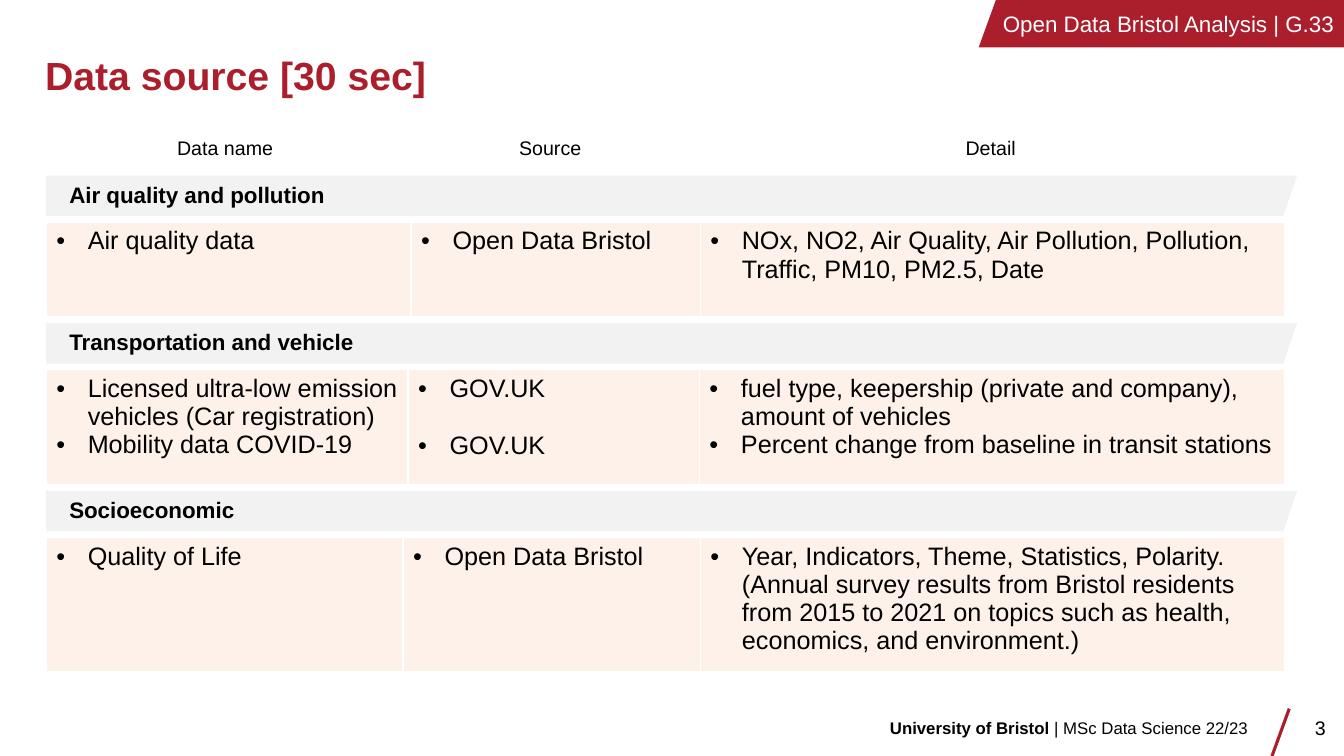
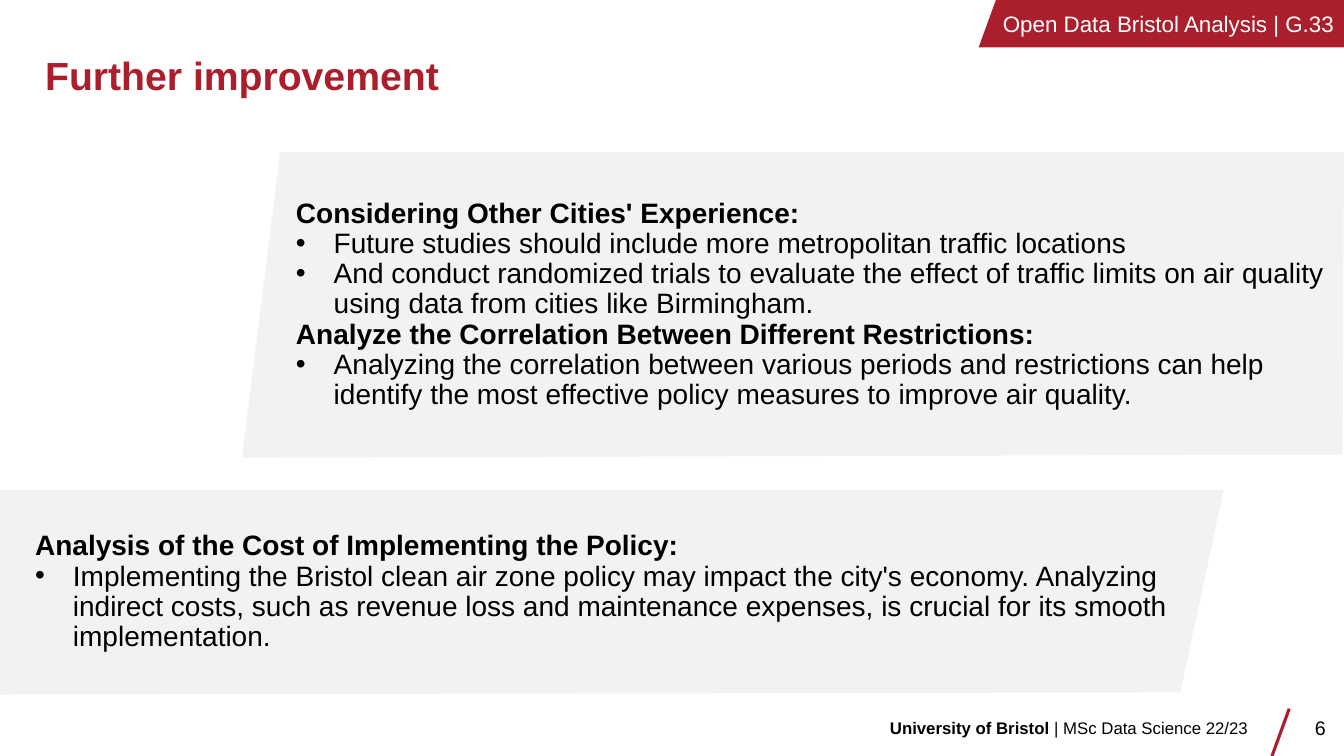
"""Build the data source and further improvement slides of a Bristol data analysis."""
from lxml import etree
from pptx import Presentation
from pptx.dml.color import RGBColor
from pptx.enum.shapes import MSO_CONNECTOR
from pptx.enum.text import MSO_ANCHOR, PP_ALIGN
from pptx.oxml.ns import qn
from pptx.util import Pt

LEFT, CENTER, RIGHT = PP_ALIGN.LEFT, PP_ALIGN.CENTER, PP_ALIGN.RIGHT
TOP, MIDDLE = MSO_ANCHOR.TOP, MSO_ANCHOR.MIDDLE
STRAIGHT = MSO_CONNECTOR.STRAIGHT

FONT = "Arial"
RED = "AB1F2C"
BLACK = "000000"
WHITE = "FFFFFF"
GREY = "F2F2F2"
PEACH = "FDF1E9"
color = RGBColor.from_string

WIDTH, HEIGHT = 960, 540
TABLE_LEFT = 33
BAND_HEIGHT = 28.8
TABLE_OFFSET = 33
SECTION_GAP = 4
LINE_HEIGHT = 20.5
BORDERS = {"a:lnL": 1, "a:lnR": 1, "a:lnT": 1, "a:lnB": 3}


def write(frame, lines, size, text_color=BLACK, alignment=LEFT, spacing=None,
          margin=0, hanging=0, gap=0):
    """Fill a frame with lines of (text, bold) runs; with a hanging indent, plain lines get bullets."""
    for index, runs in enumerate(lines):
        paragraph = frame.add_paragraph() if index else frame.paragraphs[0]
        paragraph.alignment = alignment
        bulleted = hanging and not runs[0][1]
        properties = paragraph._p.get_or_add_pPr()
        properties.set("marL", str(Pt(margin + hanging if bulleted else margin)))
        properties.set("indent", str(Pt(-hanging if bulleted else 0)))
        if bulleted:
            etree.SubElement(properties, qn("a:buFont"), typeface=FONT)
            etree.SubElement(properties, qn("a:buChar"), char="•")
        if spacing:
            paragraph.line_spacing = spacing
        if index and gap:
            paragraph.space_before = Pt(gap)
        for text, bold in runs:
            run = paragraph.add_run()
            run.text = text
            run.font.name = FONT
            run.font.size = Pt(size)
            run.font.bold = bold
            run.font.color.rgb = color(text_color)


def add_panel(slide, corners, fill):
    """Add a filled outline through the corners and return its text frame."""
    points = [(Pt(x), Pt(y)) for x, y in corners]
    builder = slide.shapes.build_freeform(*points[0])
    builder.add_line_segments(points[1:], close=True)
    shape = builder.convert_to_shape()
    shape.shadow.inherit = False
    shape.fill.solid()
    shape.fill.fore_color.rgb = color(fill)
    shape.line.fill.background()
    shape.text_frame.word_wrap = True
    shape.text_frame.vertical_anchor = MIDDLE
    return shape.text_frame


presentation = Presentation()
presentation.slide_width = Pt(WIDTH)
presentation.slide_height = Pt(HEIGHT)

slides = []
for title, number in [("Data source [30 sec]", "3"), ("Further improvement", "6")]:
    slide = presentation.slides.add_slide(presentation.slide_layouts[6])
    slides.append(slide)
    corner = add_panel(slide, [(711.4, 0), (WIDTH, 0), (WIDTH, 33.8), (699.1, 33.8)], RED)
    write(corner, [[("Open Data Bristol Analysis | G.33", False)]], 16, WHITE, RIGHT)

    slash = slide.shapes.add_connector(STRAIGHT, Pt(908.6), Pt(HEIGHT), Pt(920.9), Pt(506.2))
    slash.line.color.rgb = color(RED)
    slash.line.width = Pt(2.25)
    etree.SubElement(slash._element.spPr, qn("a:effectLst"))

    footer = [("University of Bristol ", True), ("| MSc Data Science 22/23", False)]
    for box, runs, size, text_color, alignment, anchor, wrap, spacing in [
        ((628.6, 509, 280, 21.6), footer, 12, BLACK, LEFT, TOP, False, None),
        ((25.2, 28.8, 653, 53.3), [(title, True)], 28, RED, LEFT, MIDDLE, True, 0.9),
        ((902.9, 505.4, 51.1, 28.8), [(number, False)], 14, BLACK, RIGHT, MIDDLE, True, None),
    ]:
        frame = slide.shapes.add_textbox(*map(Pt, box)).text_frame
        frame.word_wrap = wrap
        frame.vertical_anchor = anchor
        write(frame, [runs], size, text_color, alignment, spacing)

source_slide, improvement_slide = slides

sections = [
    (None, 31, [255.6, 208.8, 420.5], [["Data name"], ["Source"], ["Detail"]]),
    ("Air quality and pollution", 68.4, [260.6, 206.6, 417.6], [
        ["Air quality data"],
        ["Open Data Bristol"],
        ["NOx, NO2, Air Quality, Air Pollution, Pollution, Traffic, PM10, PM2.5, Date"],
    ]),
    ("Transportation and vehicle", 82.8, [258.5, 208.1, 418.3], [
        ["Licensed ultra-low emission vehicles (Car registration)", "Mobility data COVID-19"],
        ["GOV.UK", "GOV.UK"],
        ["fuel type, keepership (private and company), amount of vehicles",
         "Percent change from baseline in transit stations"],
    ]),
    ("Socioeconomic", 97.2, [254.9, 212.4, 417.6], [
        ["Quality of Life"],
        ["Open Data Bristol"],
        ["Year, Indicators, Theme, Statistics, Polarity. (Annual survey results from Bristol "
         "residents from 2015 to 2021 on topics such as health, economics, and environment.)"],
    ]),
]
top = 90.5
for heading, height, column_widths, columns in sections:
    if heading:
        bottom = top + BAND_HEIGHT
        band = add_panel(source_slide, [(TABLE_LEFT, top), (926.6, top), (916.6, bottom),
                                        (TABLE_LEFT, bottom)], GREY)
        write(band, [[(heading, True)]], 16, spacing=0.9, margin=9.4)
        top += TABLE_OFFSET
    table = source_slide.shapes.add_table(1, len(columns), Pt(TABLE_LEFT), Pt(top),
                                          Pt(sum(column_widths)), Pt(height)).table
    table.first_row = False
    table.horz_banding = False
    for index, (column_width, texts) in enumerate(zip(column_widths, columns)):
        table.columns[index].width = Pt(column_width)
        cell = table.cell(0, index)
        cell_properties = cell._tc.get_or_add_tcPr()
        for tag, weight in BORDERS.items():
            border = etree.SubElement(cell_properties, qn(tag), w=str(Pt(weight)))
            border_fill = etree.SubElement(border, qn("a:solidFill"))
            etree.SubElement(border_fill, qn("a:srgbClr"), val=WHITE)
        cell.fill.solid()
        cell.fill.fore_color.rgb = color(PEACH if heading else WHITE)
        lines = [[(text, False)] for text in texts]
        if heading:
            gap = LINE_HEIGHT if texts[0] == "GOV.UK" else 0
            write(cell.text_frame, lines, 18, hanging=22.5, gap=gap)
        else:
            cell.vertical_anchor = MIDDLE
            write(cell.text_frame, lines, 14, alignment=CENTER)
    top += height + SECTION_GAP

panels = [
    ([(200.2, 108.7), (WIDTH, 108.7), (959, 324.7), (172.8, 326.9)], 31.5, [
        ("Considering Other Cities' Experience:", True),
        ("Future studies should include more metropolitan traffic locations", False),
        ("And conduct randomized trials to evaluate the effect of traffic limits on air quality "
         "using data from cities like Birmingham.", False),
        ("Analyze the Correlation Between Different Restrictions:", True),
        ("Analyzing the correlation between various periods and restrictions can help identify "
         "the most effective policy measures to improve air quality.", False),
    ]),
    ([(0, 349.9), (874.1, 349.9), (843.1, 494.6), (0, 496.1)], 18, [
        ("Analysis of the Cost of Implementing the Policy:", True),
        ("Implementing the Bristol clean air zone policy may impact the city's economy. Analyzing "
         "indirect costs, such as revenue loss and maintenance expenses, is crucial for its "
         "smooth implementation.", False),
    ]),
]
for corners, margin, runs in panels:
    panel = add_panel(improvement_slide, corners, GREY)
    write(panel, [[run] for run in runs], 20, spacing=0.9, margin=margin, hanging=27)

presentation.save("out.pptx")
